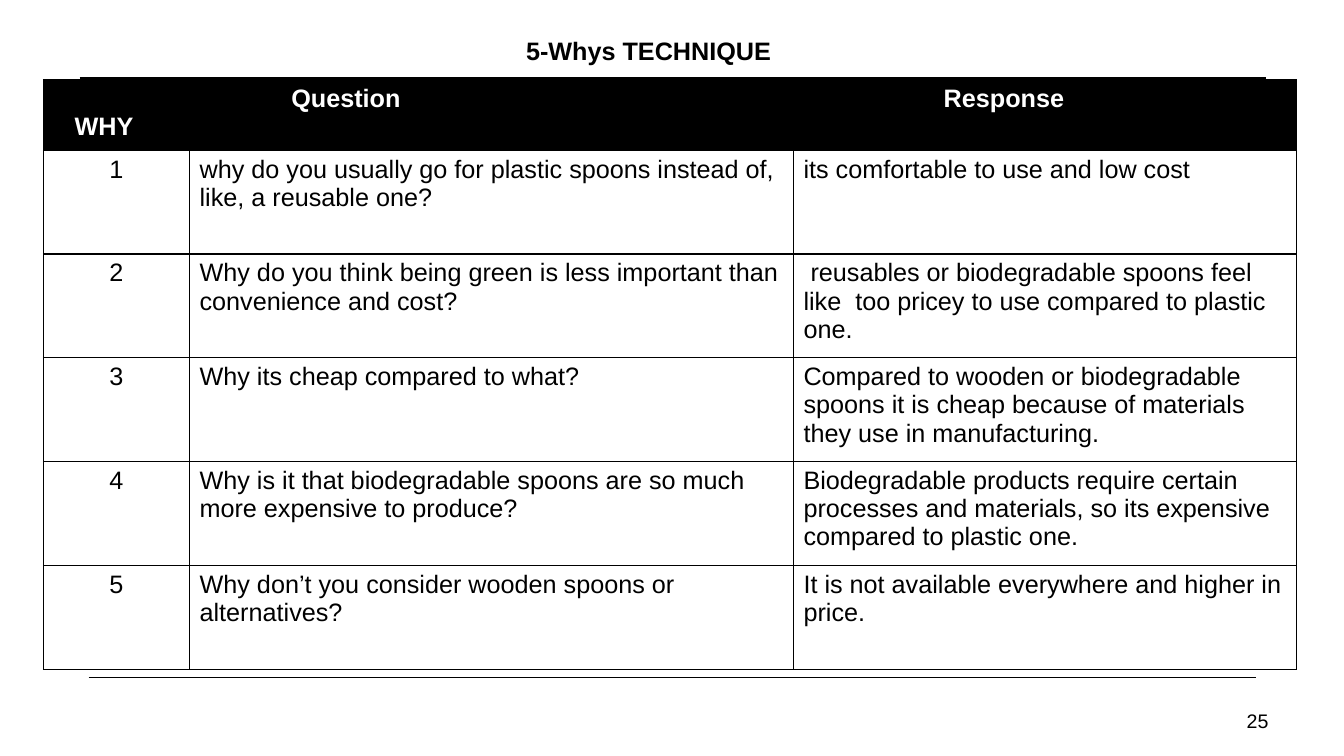
from dataclasses import dataclass

from lxml.etree import SubElement
from pptx import Presentation
from pptx.dml.color import RGBColor
from pptx.enum.shapes import MSO_CONNECTOR as Connector
from pptx.enum.text import MSO_ANCHOR as Anchor, PP_ALIGN as Align
from pptx.oxml.ns import qn
from pptx.util import Inches, Pt


@dataclass(frozen=True)
class Theme:
    font: str = "Arial"
    ink: str = "000000"
    paper: str = "FFFFFF"
    body: int = 18
    number: int = 14
    border: float = 1
    thick: float = 3.5


THEME = Theme()
WIDTH, HEIGHT = 13.33, 7.5
COLUMNS = [1.45, 5.99, 4.99]
HEADER_HEIGHT, ROW_HEIGHT = 0.7, 1.03

# Header text with its left and top cell margins
HEADERS = [("WHY", 0.31, 0.33), ("Question", 1.01, 0.05), ("Response", 1.49, 0.05)]
WHYS = [
    ("why do you usually go for plastic spoons instead of, like, a reusable one?",
     "its comfortable to use and low cost"),
    ("Why do you think being green is less important than convenience and cost?",
     " reusables or biodegradable spoons feel like  too pricey to use compared to plastic one."),
    ("Why its cheap compared to what?",
     "Compared to wooden or biodegradable spoons it is cheap because of materials "
     "they use in manufacturing."),
    ("Why is it that biodegradable spoons are so much more expensive to produce?",
     "Biodegradable products require certain processes and materials, so its expensive "
     "compared to plastic one."),
    ("Why don’t you consider wooden spoons or alternatives?",
     "It is not available everywhere and higher in price."),
]


def write(tf, text, size, color=THEME.ink, bold=False, align=Align.LEFT):
    tf.text = text
    p = tf.paragraphs[0]
    p.alignment = align
    font = p.runs[0].font
    font.name, font.size, font.bold = THEME.font, Pt(size), bold
    font.color.rgb = RGBColor.from_string(color)


def add_text(s, box, text, size, anchor=Anchor.TOP, **style):
    tf = s.shapes.add_textbox(*map(Inches, box)).text_frame
    tf.word_wrap = True
    tf.vertical_anchor = anchor
    write(tf, text, size, **style)


def add_rule(s, left, right, y, weight):
    line = s.shapes.add_connector(Connector.STRAIGHT, *map(Inches, (left, y, right, y)))
    line.line.color.rgb = RGBColor.from_string(THEME.ink)
    line.line.width = Pt(weight)
    SubElement(line._element.spPr, qn("a:effectLst"))


def style_cell(cell, color):
    # Borders come before the fill in the cell properties
    props = cell._tc.get_or_add_tcPr()
    for side in ("lnL", "lnR", "lnT", "lnB"):
        line = SubElement(props, qn(f"a:{side}"), w=str(Pt(THEME.border)))
        fill = SubElement(line, qn("a:solidFill"))
        SubElement(fill, qn("a:srgbClr"), val=THEME.ink)
    cell.fill.solid()
    cell.fill.fore_color.rgb = RGBColor.from_string(color)


def add_whys_table(s, left, top):
    height = HEADER_HEIGHT + ROW_HEIGHT * len(WHYS)
    box = map(Inches, (left, top, sum(COLUMNS), height))
    table = s.shapes.add_table(len(WHYS) + 1, len(COLUMNS), *box).table
    for column, width in zip(table.columns, COLUMNS):
        column.width = Inches(width)
    for i, row in enumerate(table.rows):
        row.height = Inches(ROW_HEIGHT if i else HEADER_HEIGHT)

    # Header row
    for j, (text, margin_left, margin_top) in enumerate(HEADERS):
        cell = table.cell(0, j)
        style_cell(cell, THEME.ink)
        cell.margin_left, cell.margin_top = Inches(margin_left), Inches(margin_top)
        write(cell.text_frame, text, THEME.body, color=THEME.paper, bold=True)

    # Numbered questions and responses
    for i, why in enumerate(WHYS, 1):
        for j, text in enumerate((str(i), *why)):
            cell = table.cell(i, j)
            style_cell(cell, THEME.paper)
            write(cell.text_frame, text, THEME.body, align=Align.LEFT if j else Align.CENTER)


def add_frame(s, top, bottom):
    add_rule(s, 0.88, 12.46, bottom, THEME.border)
    add_rule(s, 0.79, 12.56, top, THEME.thick)


def add_whys_slide(prs):
    s = prs.slides.add_slide(prs.slide_layouts[6])
    top = 0.79
    add_frame(s, top, 6.72)
    add_text(s, (11.94, 6.95, 0.74, 0.4), "25", THEME.number, Anchor.MIDDLE, align=Align.RIGHT)
    add_text(s, (3.1, 0.3, WIDTH / 2, 0.4), "5-Whys TECHNIQUE", THEME.body,
             bold=True, align=Align.CENTER)
    add_whys_table(s, 0.43, top)


def main():
    prs = Presentation()
    prs.slide_width, prs.slide_height = Inches(WIDTH), Inches(HEIGHT)
    add_whys_slide(prs)
    prs.save("out.pptx")


if __name__ == "__main__":
    main()
